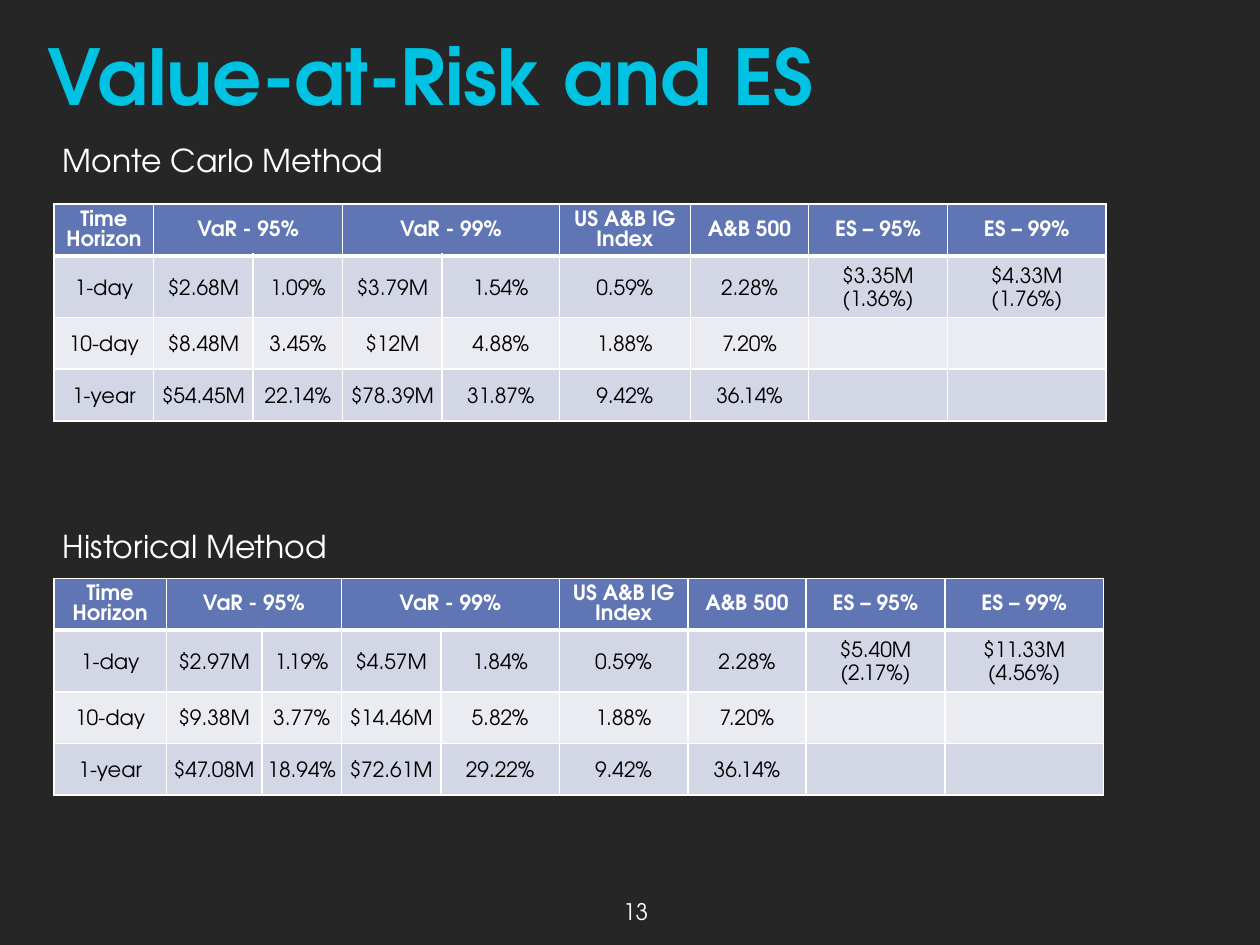
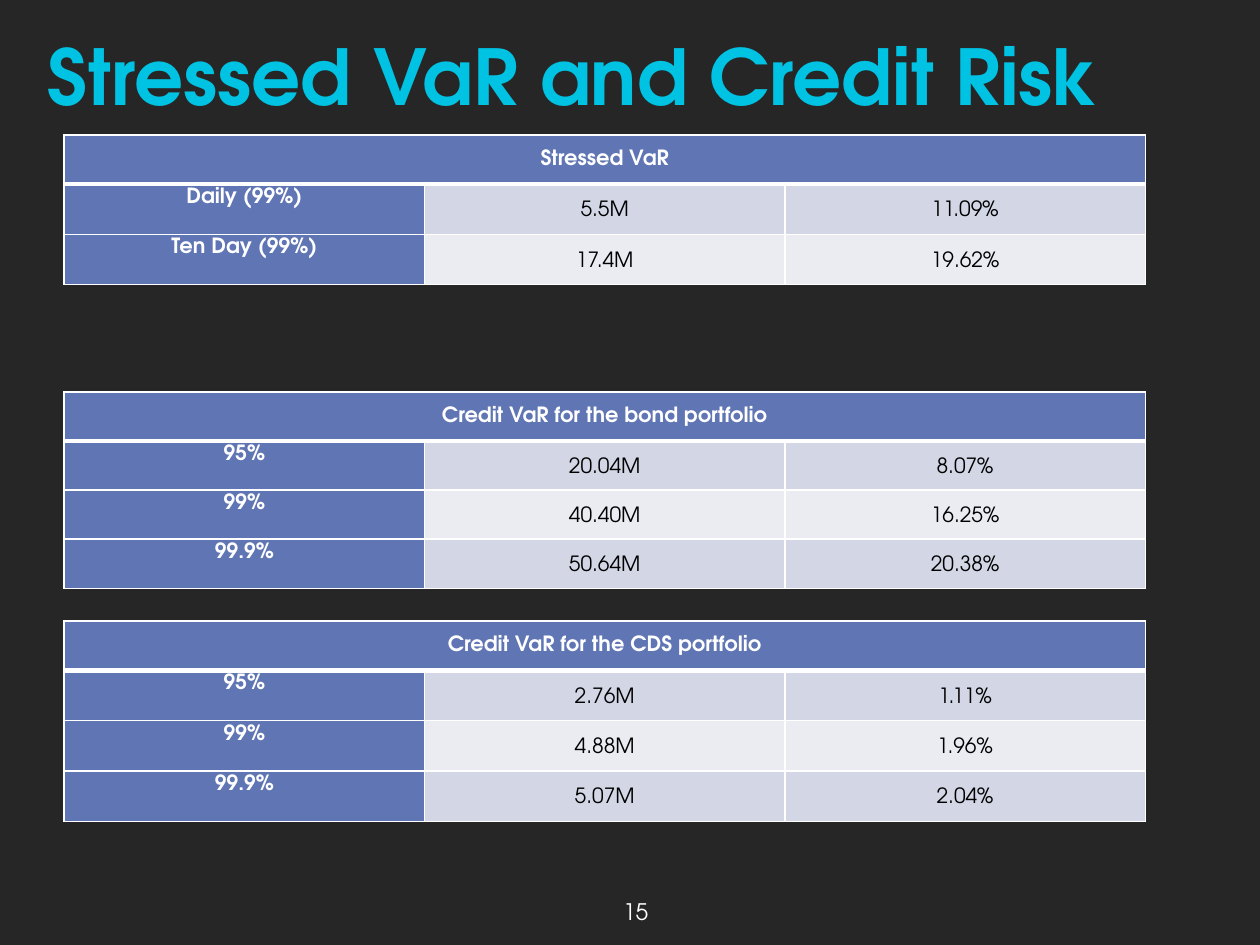
from lxml import etree
from pptx import Presentation
from pptx.dml.color import RGBColor
from pptx.enum.text import MSO_ANCHOR, PP_ALIGN
from pptx.oxml.ns import qn
from pptx.util import Inches, Pt

FONT = "TeX Gyre Adventor"
BACK = RGBColor(0x26, 0x26, 0x26)
CYAN = RGBColor(0x00, 0xC2, 0xE2)
WHITE = RGBColor(0xFF, 0xFF, 0xFF)
BLACK = RGBColor(0x00, 0x00, 0x00)
HEAD = RGBColor(0x60, 0x76, 0xB4)
BANDS = [RGBColor(0xD2, 0xD6, 0xE5), RGBColor(0xEA, 0xEC, 0xF2)]

TITLE = dict(size=Pt(44), bold=True)
SUBTITLE = dict(size=Pt(18), bold=False)
FOOTER = dict(size=Pt(13), bold=False)
HEAD_CELL = dict(size=Pt(12), bold=True)
BODY_CELL = dict(size=Pt(12), bold=False)


def write(tf, text, fmt, color, align=PP_ALIGN.LEFT, spacing=None):
    """Fill a text frame, one paragraph for each line of text."""
    tf.word_wrap = True
    for i, line in enumerate(text.split("\n")):
        p = tf.paragraphs[0] if i == 0 else tf.add_paragraph()
        p.alignment = align
        if spacing:
            p.line_spacing = spacing
        if line:
            r = p.add_run()
            r.text = line
            r.font.name = FONT
            r.font.color.rgb = color
            for name, value in fmt.items():
                setattr(r.font, name, value)


def add_grid(s, box, widths, heights, rows, spans, margins, row_heads=False):
    """Add a banded table; spans are (first, last) columns merged in the header."""
    tbl = s.shapes.add_table(len(rows), len(widths), *map(Inches, box)).table
    tbl.horz_banding = False
    for col, width in zip(tbl.columns, widths):
        col.width = Inches(width)
    for row, height in zip(tbl.rows, heights):
        row.height = Inches(height)
    for i, row in enumerate(rows):
        for j, value in enumerate(row):
            cell = tbl.cell(i, j)
            is_head = i == 0 or (row_heads and j == 0)
            top_aligned = is_head and i > 0
            cell.vertical_anchor = MSO_ANCHOR.TOP if top_aligned else MSO_ANCHOR.MIDDLE
            for side, margin in margins.items():
                setattr(cell, f"margin_{side}", Inches(margin))
            cell.fill.solid()
            cell.fill.fore_color.rgb = HEAD if is_head else BANDS[(i - 1) % 2]
            write(cell.text_frame, value, HEAD_CELL if is_head else BODY_CELL,
                  WHITE if is_head else BLACK, PP_ALIGN.CENTER, 1.2 if i else None)
            tcPr = cell._tc.get_or_add_tcPr()
            for k, side in enumerate("LRTB"):
                thick = (i, side) in [(0, "B"), (1, "T")]
                ln = etree.Element(qn(f"a:ln{side}"), w=str(Pt(3 if thick else 1)))
                fill = etree.SubElement(ln, qn("a:solidFill"))
                etree.SubElement(fill, qn("a:srgbClr"), val=str(WHITE))
                tcPr.insert(k, ln)
    for first, last in spans:
        tbl.cell(0, first).merge(tbl.cell(0, last))


prs = Presentation()
prs.slide_width, prs.slide_height = Inches(10), Inches(7.5)

slides = []
for title, number in [("Value-at-Risk and ES", "13"), ("Stressed VaR and Credit Risk", "15")]:
    s = prs.slides.add_slide(prs.slide_layouts[6])
    s.background.fill.solid()
    s.background.fill.fore_color.rgb = BACK
    tf = s.shapes.add_textbox(*map(Inches, (0.28, -0.03, 9.28, 1.25))).text_frame
    tf.vertical_anchor = MSO_ANCHOR.MIDDLE
    write(tf, title, TITLE, CYAN)
    tf = s.shapes.add_textbox(*map(Inches, (4, 7.08, 2.09, 0.33))).text_frame
    write(tf, number, FOOTER, WHITE, PP_ALIGN.CENTER)
    slides.append(s)
var_slide, stress_slide = slides

# Value-at-Risk and ES: one table for each method
VAR_HEADER = ["Time Horizon", "VaR - 95%", "", "VaR - 99%", "",
              "US A&B IG Index", "A&B 500", "ES – 95%", "ES – 99%"]
methods = [
    ("Monte Carlo Method", 1.07, 1.62,
     [0.79, 0.79, 0.71, 0.79, 0.93, 1.04, 0.94, 1.1, 1.26], [0.39, 0.41, 0.41, 0.41],
     [["1-day", "$2.68M", "1.09%", "$3.79M", "1.54%", "0.59%", "2.28%",
       "$3.35M (1.36%)", "$4.33M\n(1.76%)"],
      ["10-day", "$8.48M", "3.45%", "$12M", "4.88%", "1.88%", "7.20%", "", ""],
      ["1-year", "$54.45M", "22.14%", "$78.39M", "31.87%", "9.42%", "36.14%", "", ""]]),
    ("Historical Method", 4.13, 4.59,
     [0.89, 0.76, 0.63, 0.79, 0.94, 1.02, 0.94, 1.1, 1.26], [0.41, 0.49, 0.41, 0.41],
     [["1-day", "$2.97M", "1.19%", "$4.57M", "1.84%", "0.59%", "2.28%",
       "$5.40M (2.17%)", "$11.33M (4.56%)"],
      ["10-day", "$9.38M", "3.77%", "$14.46M", "5.82%", "1.88%", "7.20%", "", ""],
      ["1-year", "$47.08M", "18.94%", "$72.61M", "29.22%", "9.42%", "36.14%", "", ""]]),
]
for name, name_top, top, widths, heights, rows in methods:
    add_grid(var_slide, (0.43, top, 8.35, sum(heights)), widths, heights,
             [VAR_HEADER] + rows, [(1, 2), (3, 4)],
             dict(left=0.01, top=0.01, right=0.01, bottom=0))
    tf = var_slide.shapes.add_textbox(*map(Inches, (0.4, name_top, 2.99, 0.4))).text_frame
    write(tf, name, SUBTITLE, WHITE)

# Stressed VaR and Credit Risk: three tables with row headings
risks = [
    ("Stressed VaR", 1.07,
     [["Daily (99%)", "5.5M", "11.09%"],
      ["Ten Day (99%)", "17.4M", "19.62%"]]),
    ("Credit VaR for the bond portfolio", 3.11,
     [["95%", "20.04M", "8.07%"],
      ["99%", "40.40M", "16.25%"],
      ["99.9%", "50.64M", "20.38%"]]),
    ("Credit VaR for the CDS portfolio", 4.93,
     [["95%", "2.76M", "1.11%"],
      ["99%", "4.88M", "1.96%"],
      ["99.9%", "5.07M", "2.04%"]]),
]
for name, top, rows in risks:
    heights = [0.39] + [0.39 if top == 3.11 else 0.4] * len(rows)
    add_grid(stress_slide, (0.51, top, 8.58, sum(heights)), [2.86] * 3, heights,
             [[name, "", ""]] + rows, [(0, 2)],
             dict(left=0.07, top=0, right=0.07, bottom=0), row_heads=True)

prs.save("out.pptx")
